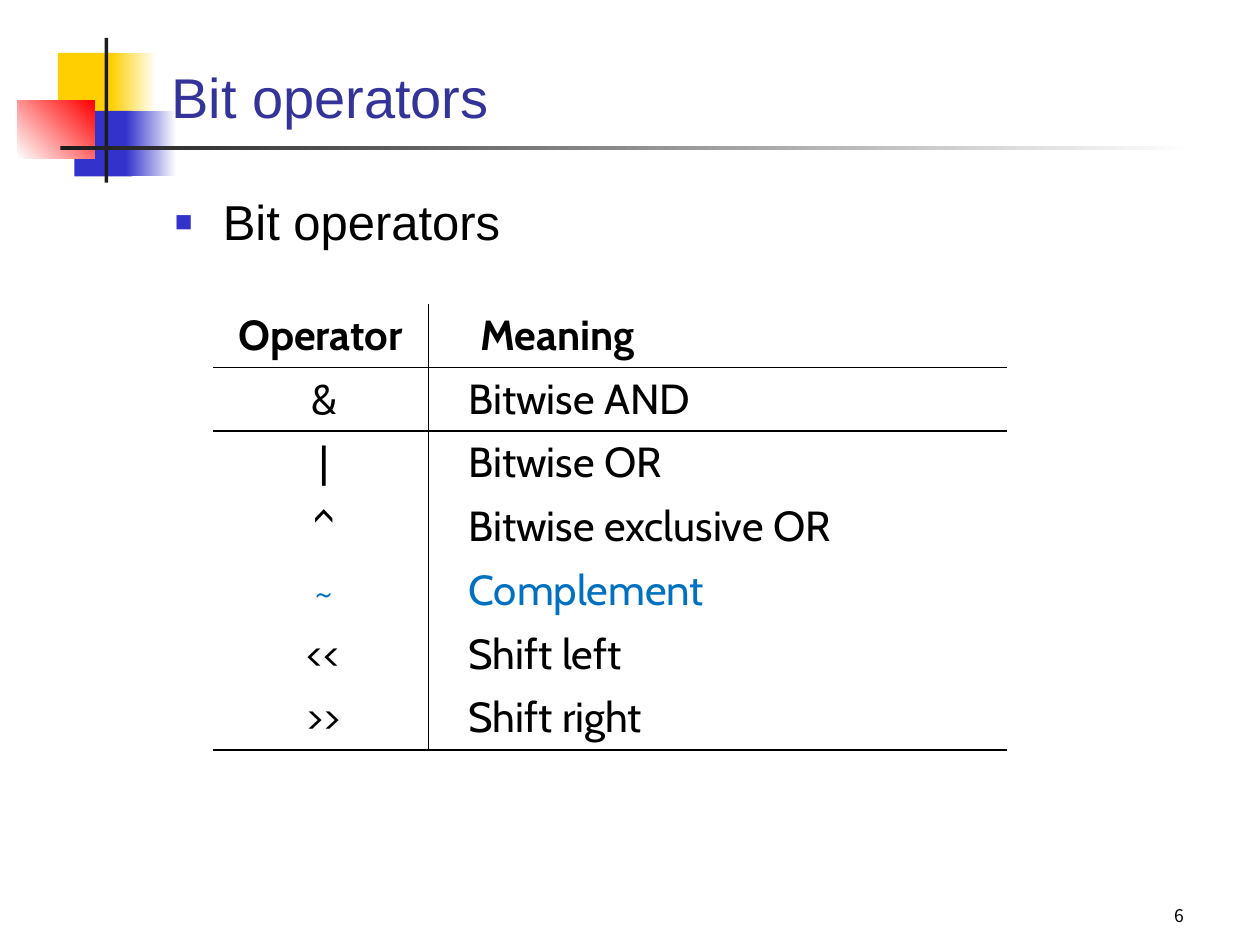
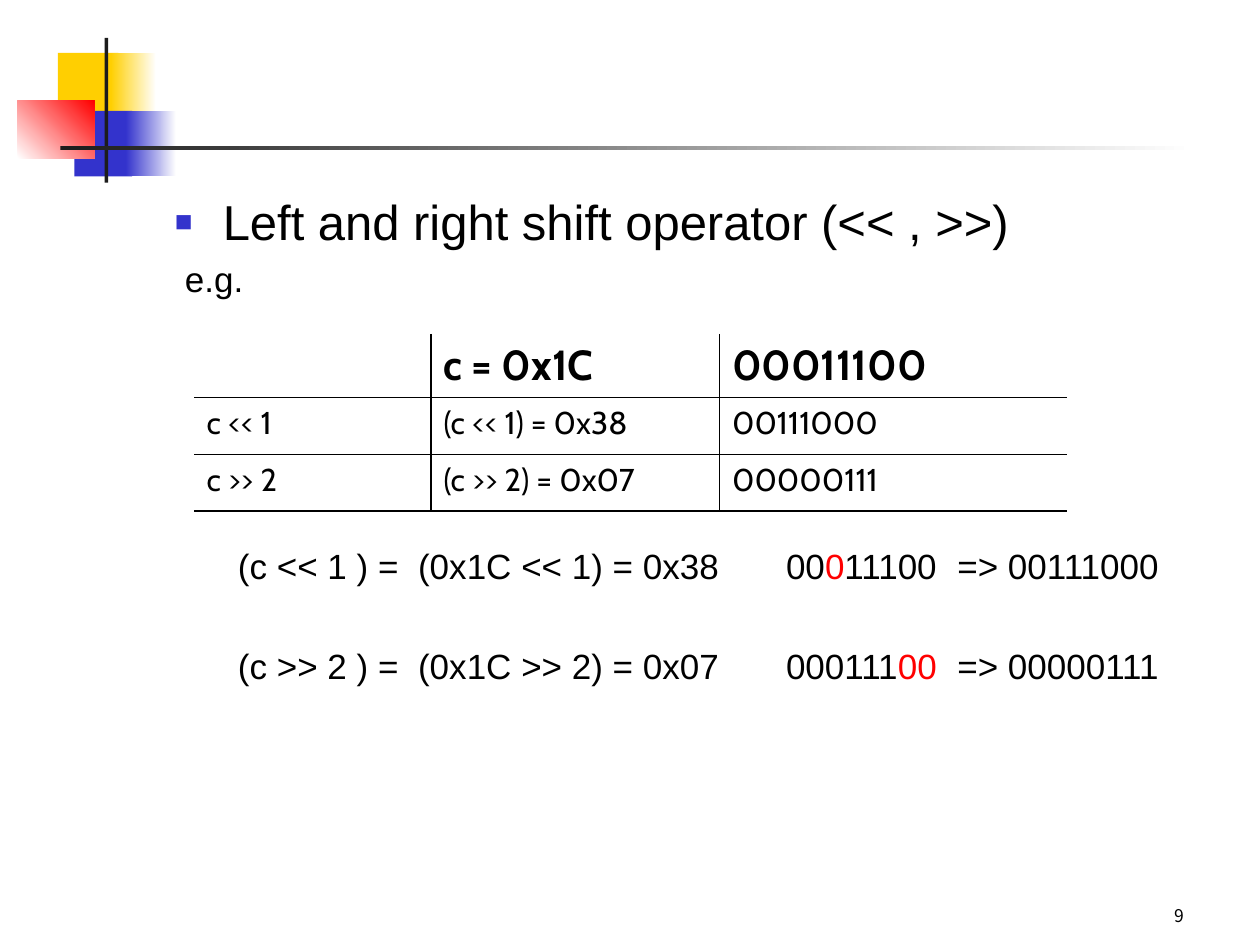
"""Build two slides on bit operators and the shift operators."""
from lxml.etree import SubElement
from pptx import Presentation
from pptx.dml.color import RGBColor
from pptx.enum.shapes import MSO_SHAPE as SHAPE
from pptx.enum.text import MSO_ANCHOR as ANCHOR, MSO_AUTO_SIZE as AUTOSIZE, PP_ALIGN as ALIGN
from pptx.oxml.ns import qn
from pptx.util import Inches, Pt

YELLOW = RGBColor(0xFF, 0xCF, 0x01)
BLUE = RGBColor(0x33, 0x33, 0xCC)
RED = RGBColor(0xFF, 0x00, 0x00)
WHITE = RGBColor(0xFF, 0xFF, 0xFF)
CHARCOAL = RGBColor(0x1C, 0x1C, 0x1C)
BLACK = RGBColor(0x00, 0x00, 0x00)
INDIGO = RGBColor(0x33, 0x33, 0x99)
SKY = RGBColor(0x00, 0x70, 0xC0)
NO_GRID_STYLE = "{2D5ABB26-0587-4C30-8999-92F81FD0307C}"

DECORATION = [
    ((0.46, 0.42, 0.48, 0.52), YELLOW, None, 0),
    ((0.88, 0.42, 0.36, 0.52), YELLOW, WHITE, 0),
    ((0.59, 0.88, 0.46, 0.52), BLUE, None, 0),
    ((1, 0.88, 0.4, 0.52), BLUE, WHITE, 0),
    ((0.14, 0.8, 0.61, 0.46), WHITE, RED, 45),
    ((0.83, 0.3, 0.03, 1.15), CHARCOAL, None, 0),
    ((0.48, 1.16, 9, 0.03), CHARCOAL, WHITE, 0),
]
TITLE = {"name": "Arial", "size": Pt(32), "color": INDIGO}
BULLET = {"name": "Arial", "size": Pt(28), "color": BLACK}
EXAMPLE = BULLET | {"size": Pt(20)}
NUMBER = {"name": "Noto Sans CJK KR", "size": Pt(10), "color": BLACK}
HEADER = {"name": "Cabin", "size": Pt(24), "color": BLACK, "bold": True}
OPERATOR = HEADER | {"bold": False}
SHIFT = OPERATOR | {"size": Pt(18)}

SLIDES = [
    {
        "title": "Bit operators", "bullet": "Bit operators", "number": "6",
        "at": (1.69, 2.41), "cols": (1.71, 4.59), "rows": [0.506] * 7, "body": OPERATOR,
        "aligns": (ALIGN.CENTER, ALIGN.LEFT),
        "header_margins": (0.1, 0.41), "margins": (0.15, 0.32),
        "cells": [
            ("Operator", "Meaning"),
            ("&", "Bitwise AND"),
            ("|", "Bitwise OR"),
            ("^", "Bitwise exclusive OR"),
            ("~", "Complement"),
            ("<<", "Shift left"),
            (">>", "Shift right"),
        ],
        "highlight": 4, "examples": [],
    },
    {
        "title": None, "bullet": "Left and right shift operator (<< , >>)", "number": "9",
        "at": (1.54, 2.65), "cols": (1.88, 2.29, 2.76), "rows": [0.5, 0.45, 0.45], "body": SHIFT,
        "aligns": [ALIGN.LEFT] * 3,
        "header_margins": [0.1] * 3, "margins": [0.1] * 3,
        "cells": [
            ("", "c = 0x1C", "00011100"),
            ("c << 1", "(c << 1) = 0x38", "00111000"),
            ("c >> 2", "(c >> 2) = 0x07", "00000111"),
        ],
        "highlight": None,
        "examples": [
            (4, [("e.g.", BLACK)]),
            (140, [("\t(c << 1 ) =\t(0x1C << 1) = 0x38\t00", BLACK), ("0", RED),
                   ("11100\t=> 00111000", BLACK)]),
            (33, [("\t(c >> 2 ) =\t(0x1C >> 2) = 0x07\t000111", BLACK), ("00", RED),
                  ("\t=> 00000111", BLACK)]),
        ],
    },
]


def write(paragraph, text, style):
    run = paragraph.add_run()
    run.text = text
    for key, value in style.items():
        if key == "color":
            run.font.color.rgb = value
        else:
            setattr(run.font, key, value)


def text_box(slide, at, anchor):
    frame = slide.shapes.add_textbox(*map(Inches, at)).text_frame
    for key, value in {"word_wrap": True, "auto_size": AUTOSIZE.NONE, "vertical_anchor": anchor}.items():
        setattr(frame, key, value)
    return frame


deck = Presentation()
deck.slide_width, deck.slide_height = Inches(10), Inches(7.5)

for content in SLIDES:
    slide = deck.slides.add_slide(deck.slide_layouts[5 if content["title"] else 6])

    for at, start, end, angle in DECORATION:
        block = slide.shapes.add_shape(SHAPE.RECTANGLE, *map(Inches, at))
        block.shadow.inherit = False
        block.line.fill.background()
        if end is None:
            block.fill.solid()
            block.fill.fore_color.rgb = start
        else:
            block.fill.gradient()
            block.fill.gradient_angle = angle
            for stop, color in zip(block.fill.gradient_stops, (start, end)):
                stop.color.rgb = color

    if content["title"]:
        title = slide.shapes.title
        title.left, title.top, title.width, title.height = map(Inches, (1.26, 0.21, 8.52, 0.87))
        title.text_frame.vertical_anchor = ANCHOR.BOTTOM
        title.text_frame.auto_size = AUTOSIZE.NONE
        heading = title.text_frame.paragraphs[0]
        heading.alignment = ALIGN.LEFT
        write(heading, content["title"], TITLE)
        slide.shapes._spTree.append(title._element)

    body = text_box(slide, (1.29, 1.47, 8.5, 5.43), ANCHOR.TOP)
    bullet = body.paragraphs[0]
    bullet.space_before = Pt(2.5)
    write(bullet, content["bullet"], BULLET)
    bullet_format = bullet._p.get_or_add_pPr()
    bullet_format.set("marL", str(Inches(0.38)))
    bullet_format.set("indent", str(-Inches(0.38)))
    SubElement(SubElement(bullet_format, qn("a:buClr")), qn("a:srgbClr"), val=str(BLUE))
    SubElement(bullet_format, qn("a:buSzPct"), val="60000")
    SubElement(bullet_format, qn("a:buFont"), typeface="Arial")
    SubElement(bullet_format, qn("a:buChar"), char="■")

    for gap, pieces in content["examples"]:
        example = body.add_paragraph()
        example.space_before = Pt(gap)
        for text, color in pieces:
            write(example, text, EXAMPLE | {"color": color})
        example_format = example._p.get_or_add_pPr()
        if len(pieces) == 1:
            example_format.set("marL", str(Inches(0.08)))
        else:
            tabs = SubElement(example_format, qn("a:tabLst"))
            for position in (0.5, 1.93, 4.85, 6.21):
                SubElement(tabs, qn("a:tab"), pos=str(Inches(position)), algn="l")

    page = text_box(slide, (7.42, 7.06, 2.08, 0.34), ANCHOR.BOTTOM).paragraphs[0]
    page.alignment = ALIGN.RIGHT
    write(page, content["number"], NUMBER)

    cols, rows = content["cols"], content["rows"]
    table = slide.shapes.add_table(
        len(rows), len(cols), *map(Inches, (*content["at"], sum(cols), sum(rows)))).table
    table.first_row = table.horz_banding = False
    table._tbl.tblPr.find(qn("a:tableStyleId")).text = NO_GRID_STYLE
    for column, width in zip(table.columns, cols):
        column.width = Inches(width)
    for row, height in zip(table.rows, rows):
        row.height = Inches(height)

    for r, texts in enumerate(content["cells"]):
        style = content["body"] if r else HEADER
        if r and r == content["highlight"]:
            style = style | {"color": SKY}
        margins = content["margins" if r else "header_margins"]
        for c, text in enumerate(texts):
            cell = table.cell(r, c)
            cell.margin_left = Inches(margins[c])
            entry = cell.text_frame.paragraphs[0]
            entry.alignment = content["aligns"][c]
            if text:
                write(entry, text, style)
            ruled = {"a:lnL": c > 0, "a:lnR": c < len(cols) - 1,
                     "a:lnT": r == 1, "a:lnB": r in (0, len(rows) - 1)}
            for side, shown in ruled.items():
                if shown:
                    rule = SubElement(cell._tc.get_or_add_tcPr(), qn(side), w=str(Pt(1)))
                    SubElement(SubElement(rule, qn("a:solidFill")), qn("a:srgbClr"), val=str(BLACK))
            cell.fill.background()

deck.save("out.pptx")
